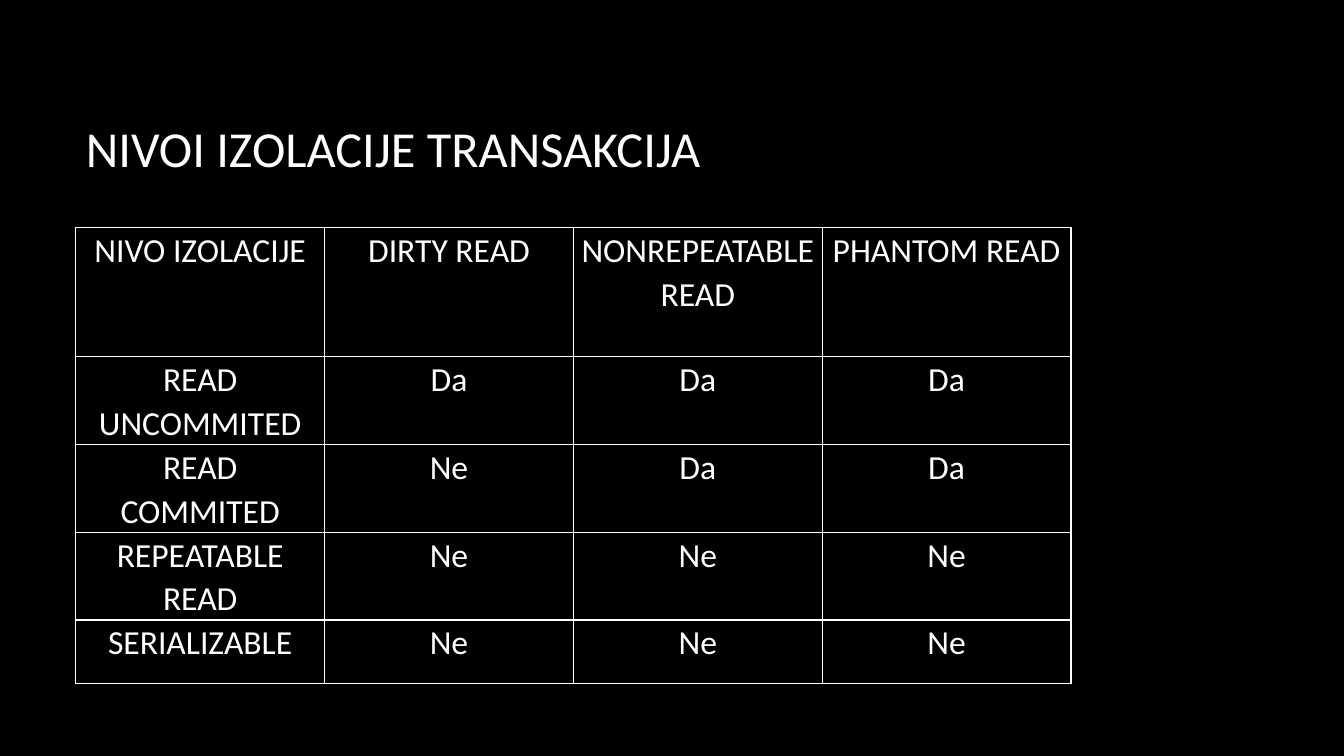
"""Build the slide that compares transaction isolation levels."""
import lxml.etree
import pptx
import pptx.dml.color
import pptx.enum.text
import pptx.oxml.ns
import pptx.util
from pptx.util import Cm

BLACK = pptx.dml.color.RGBColor(0, 0, 0)
WHITE = pptx.dml.color.RGBColor(255, 255, 255)
FONT = "Calibri"
LEFT = Cm(1.91)
COLUMN_WIDTH = Cm(6.27)
HEADER_HEIGHT = Cm(3.25)
LEVEL_HEIGHT = Cm(1.6)
LEVELS = [
    ("NIVO IZOLACIJE", "DIRTY READ", "NONREPEATABLE READ", "PHANTOM READ"),
    ("READ UNCOMMITED", "Da", "Da", "Da"),
    ("READ COMMITED", "Ne", "Da", "Da"),
    ("REPEATABLE READ", "Ne", "Ne", "Ne"),
    ("SERIALIZABLE", "Ne", "Ne", "Ne"),
]


def write_text(text_frame, text, size, alignment):
    """Set one paragraph of white text and return it."""
    text_frame.text = text
    para = text_frame.paragraphs[0]
    para.alignment = alignment
    font = para.runs[0].font
    font.name = FONT
    font.size = pptx.util.Pt(size)
    font.color.rgb = WHITE
    return para


def add_borders(cell):
    """Draw a thin white line on all four sides of a cell."""
    qualified = pptx.oxml.ns.qn
    properties = cell._tc.get_or_add_tcPr()
    for side in ("lnL", "lnR", "lnT", "lnB"):
        line = lxml.etree.SubElement(
            properties, qualified(f"a:{side}"), w=str(pptx.util.Pt(1)))
        fill = lxml.etree.SubElement(line, qualified("a:solidFill"))
        lxml.etree.SubElement(fill, qualified("a:srgbClr"), val=str(WHITE))


def format_title(title, text):
    """Place the title placeholder and write its text."""
    title.left, title.top = LEFT, Cm(1.7)
    title.width, title.height = Cm(28.14), Cm(4.04)
    frame = title.text_frame
    write_text(frame, text, 36, pptx.enum.text.PP_ALIGN.LEFT)
    frame.auto_size = pptx.enum.text.MSO_AUTO_SIZE.NONE
    frame.vertical_anchor = pptx.enum.text.MSO_ANCHOR.MIDDLE


def format_cell(cell, text):
    """Write a centred cell with its margins, borders and fill."""
    cell.margin_left = cell.margin_right = Cm(0.18)
    cell.margin_top = cell.margin_bottom = 0
    para = write_text(cell.text_frame, text, 24, pptx.enum.text.PP_ALIGN.CENTER)
    para.line_spacing = 1.07
    add_borders(cell)
    cell.fill.solid()
    cell.fill.fore_color.rgb = BLACK


def add_level_table(slide):
    """Add the table of isolation levels."""
    row_count, column_count = len(LEVELS), len(LEVELS[0])
    table = slide.shapes.add_table(
        row_count, column_count, LEFT, Cm(5.74), COLUMN_WIDTH * column_count,
        HEADER_HEIGHT + LEVEL_HEIGHT * (row_count - 1)).table
    table.first_row = table.horz_banding = False
    for column in table.columns:
        column.width = COLUMN_WIDTH
    for index, values in enumerate(LEVELS):
        row = table.rows[index]
        row.height = LEVEL_HEIGHT if index else HEADER_HEIGHT
        for cell, value in zip(row.cells, values):
            format_cell(cell, value)


def main():
    """Build and save the deck."""
    deck = pptx.Presentation()
    deck.slide_width, deck.slide_height = Cm(33.87), Cm(19.05)
    slide = deck.slides.add_slide(deck.slide_layouts.get_by_name("Title Only"))
    slide.background.fill.solid()
    slide.background.fill.fore_color.rgb = BLACK
    format_title(slide.shapes.title, "NIVOI IZOLACIJE TRANSAKCIJA")
    add_level_table(slide)
    deck.save("out.pptx")


if __name__ == "__main__":
    main()
